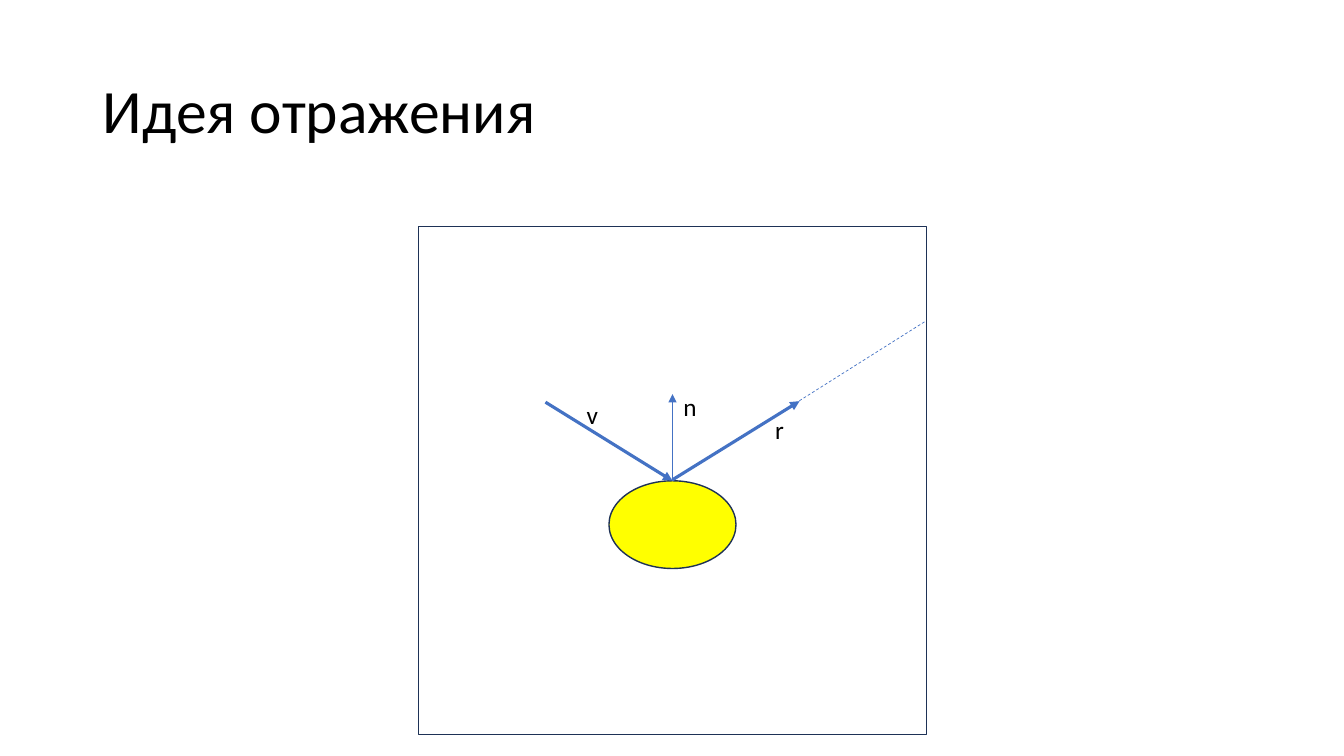
"""Build a slide that shows how a ray reflects from a surface."""
from dataclasses import dataclass

from lxml.etree import SubElement
from pptx import Presentation
from pptx.dml.color import RGBColor
from pptx.enum.dml import MSO_LINE
from pptx.enum.shapes import MSO_CONNECTOR, MSO_SHAPE
from pptx.enum.text import MSO_ANCHOR, MSO_AUTO_SIZE, PP_ALIGN
from pptx.oxml.ns import qn
from pptx.slide import Slide
from pptx.text.text import TextFrame
from pptx.util import Emu, Pt

EMU_PER_PX = 9144


@dataclass(frozen=True)
class Theme:
    font: str = "Calibri"
    text: str = "000000"
    ray: str = "4472C4"
    outline: str = "1E3256"
    ball: str = "FFFF00"
    title_size: int = 44
    label_size: int = 18


@dataclass(frozen=True)
class Ray:
    start: tuple[int, int]
    end: tuple[int, int]
    weight: float
    dashed: bool = False


@dataclass(frozen=True)
class Outline:
    kind: MSO_SHAPE
    left: int
    top: int
    width: int
    height: int
    fill: str | None = None


@dataclass(frozen=True)
class Label:
    text: str
    left: int
    top: int


THEME = Theme()
HIT = (667, 477)
EXTENSION = Ray(HIT, (919, 318), 0.5, dashed=True)
OUTLINES = (
    Outline(MSO_SHAPE.OVAL, 604, 477, 126, 87, THEME.ball),
    Outline(MSO_SHAPE.RECTANGLE, 415, 225, 504, 504),
)
VECTORS = (
    Ray((541, 399), HIT, 2.25),
    Ray(HIT, (667, 391), 1),
    Ray((667, 476), (793, 398), 2.25),
)
LABELS = (Label("v", 572, 391), Label("n", 668, 383), Label("r", 759, 406))


def px(length: int) -> Emu:
    """Turn pixels into EMU."""
    return Emu(length * EMU_PER_PX)


def write(frame: TextFrame, text: str, size: int) -> None:
    """Put one left-aligned paragraph in a frame."""
    frame.word_wrap = True
    paragraph = frame.paragraphs[0]
    paragraph.text = text
    paragraph.alignment = PP_ALIGN.LEFT
    paragraph.font.name = THEME.font
    paragraph.font.size = Pt(size)
    paragraph.font.color.rgb = RGBColor.from_string(THEME.text)


def add_title(page: Slide, text: str) -> None:
    """Place and fill the title placeholder."""
    title = page.shapes.title
    title.left, title.top, title.width, title.height = map(px, (92, 40, 1150, 145))
    frame = title.text_frame
    frame.vertical_anchor = MSO_ANCHOR.MIDDLE
    write(frame, text, THEME.title_size)
    frame.paragraphs[0].line_spacing = 0.9


def add_ray(page: Slide, ray: Ray) -> None:
    """Draw a dashed line or a solid arrow."""
    connector = page.shapes.add_connector(
        MSO_CONNECTOR.STRAIGHT, *map(px, ray.start + ray.end)
    )
    line = connector.line
    line.color.rgb = RGBColor.from_string(THEME.ray)
    line.width = Pt(ray.weight)
    if ray.dashed:
        line.dash_style = MSO_LINE.DASH
    else:
        SubElement(line._get_or_add_ln(), qn("a:tailEnd"), type="triangle")
    SubElement(connector._element.spPr, qn("a:effectLst"))


def add_outline(page: Slide, outline: Outline) -> None:
    """Draw an outlined shape, filled if it has a fill colour."""
    shape = page.shapes.add_shape(
        outline.kind,
        *map(px, (outline.left, outline.top, outline.width, outline.height)),
    )
    shape.shadow.inherit = False
    if outline.fill:
        shape.fill.solid()
        shape.fill.fore_color.rgb = RGBColor.from_string(outline.fill)
    else:
        shape.fill.background()
    shape.line.color.rgb = RGBColor.from_string(THEME.outline)
    shape.line.width = Pt(1)


def add_label(page: Slide, label: Label) -> None:
    """Write the name of a vector."""
    box = page.shapes.add_textbox(*map(px, (label.left, label.top, 39, 40)))
    write(box.text_frame, label.text, THEME.label_size)
    box.text_frame.auto_size = MSO_AUTO_SIZE.SHAPE_TO_FIT_TEXT


def main() -> None:
    """Build and save the deck."""
    deck = Presentation()
    deck.slide_width, deck.slide_height = px(1333), px(750)
    page = deck.slides.add_slide(deck.slide_layouts[5])
    add_ray(page, EXTENSION)
    add_title(page, "Идея отражения")
    for outline in OUTLINES:
        add_outline(page, outline)
    for vector in VECTORS:
        add_ray(page, vector)
    for label in LABELS:
        add_label(page, label)
    deck.save("out.pptx")


if __name__ == "__main__":
    main()
